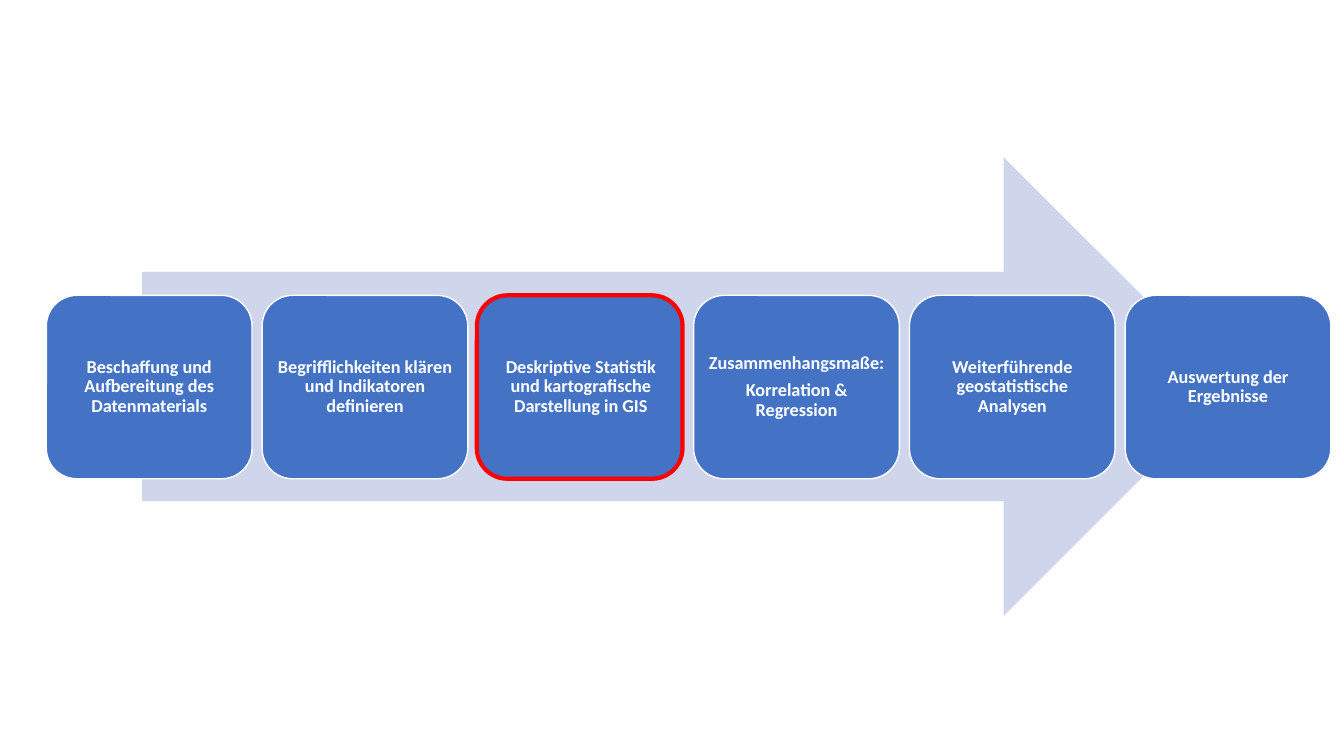
"""Build a process slide: six steps on a broad arrow, the third one highlighted."""
from pptx import Presentation
from pptx import util as u
from pptx.dml.color import RGBColor
from pptx.enum import shapes, text

COLORS = {"arrow": "CFD5EA", "step": "4472C4", "white": "FFFFFF", "highlight": "FF0000"}
STEPS = [
    ["Beschaffung und Aufbereitung des Datenmaterials"],
    ["Begrifflichkeiten klären und Indikatoren definieren"],
    ["Deskriptive Statistik und kartografische Darstellung in GIS"],
    ["Zusammenhangsmaße:", "Korrelation & Regression"],
    ["Weiterführende geostatistische Analysen"],
    ["Auswertung der Ergebnisse"],
]
STEP_LEFT, STEP_TOP, STEP_WIDTH, STEP_HEIGHT = 0.46, 2.93, 2.04, 1.82
STEP_PITCH = 2.14
HIGHLIGHT_INDEX = 2


def add_box(page, kind, left, top, width, height, fill=None, line=None, line_width=1):
    box = page.shapes.add_shape(
        kind, u.Inches(left), u.Inches(top), u.Inches(width), u.Inches(height))
    box.shadow.inherit = False
    if fill:
        box.fill.solid()
        box.fill.fore_color.rgb = RGBColor.from_string(COLORS[fill])
    else:
        box.fill.background()
    if line:
        box.line.color.rgb = RGBColor.from_string(COLORS[line])
        box.line.width = u.Pt(line_width)
    else:
        box.line.fill.background()
    return box


def write_label(box, lines):
    frame = box.text_frame
    frame.word_wrap = True
    frame.vertical_anchor = text.MSO_ANCHOR.MIDDLE
    frame.margin_left = frame.margin_right = u.Inches(0.05)
    frame.margin_top = frame.margin_bottom = u.Inches(0.05)
    frame.text = "\n".join(lines)
    for para in frame.paragraphs:
        para.alignment = text.PP_ALIGN.CENTER
        para.line_spacing = 0.9
        para.space_after = u.Pt(5.5)
        para.font.name = "Calibri"
        para.font.size = u.Pt(13)
        para.font.bold = True
        para.font.color.rgb = RGBColor.from_string(COLORS["white"])


def add_step(page, index, lines):
    box = add_box(page, shapes.MSO_SHAPE.ROUNDED_RECTANGLE,
                  STEP_LEFT + index * STEP_PITCH, STEP_TOP, STEP_WIDTH, STEP_HEIGHT,
                  fill="step", line="white")
    write_label(box, lines)


def main():
    deck = Presentation()
    deck.slide_width, deck.slide_height = u.Inches(13.33), u.Inches(7.5)
    page = deck.slides.add_slide(deck.slide_layouts[6])
    add_box(page, shapes.MSO_SHAPE.RIGHT_ARROW, 1.41, 1.56, 10.82, 4.55, fill="arrow")
    for index, lines in enumerate(STEPS):
        add_step(page, index, lines)
    add_box(page, shapes.MSO_SHAPE.ROUNDED_RECTANGLE,
            STEP_LEFT + HIGHLIGHT_INDEX * STEP_PITCH - 0.01, STEP_TOP,
            STEP_WIDTH, STEP_HEIGHT, line="highlight", line_width=3)
    deck.save("out.pptx")


if __name__ == "__main__":
    main()
